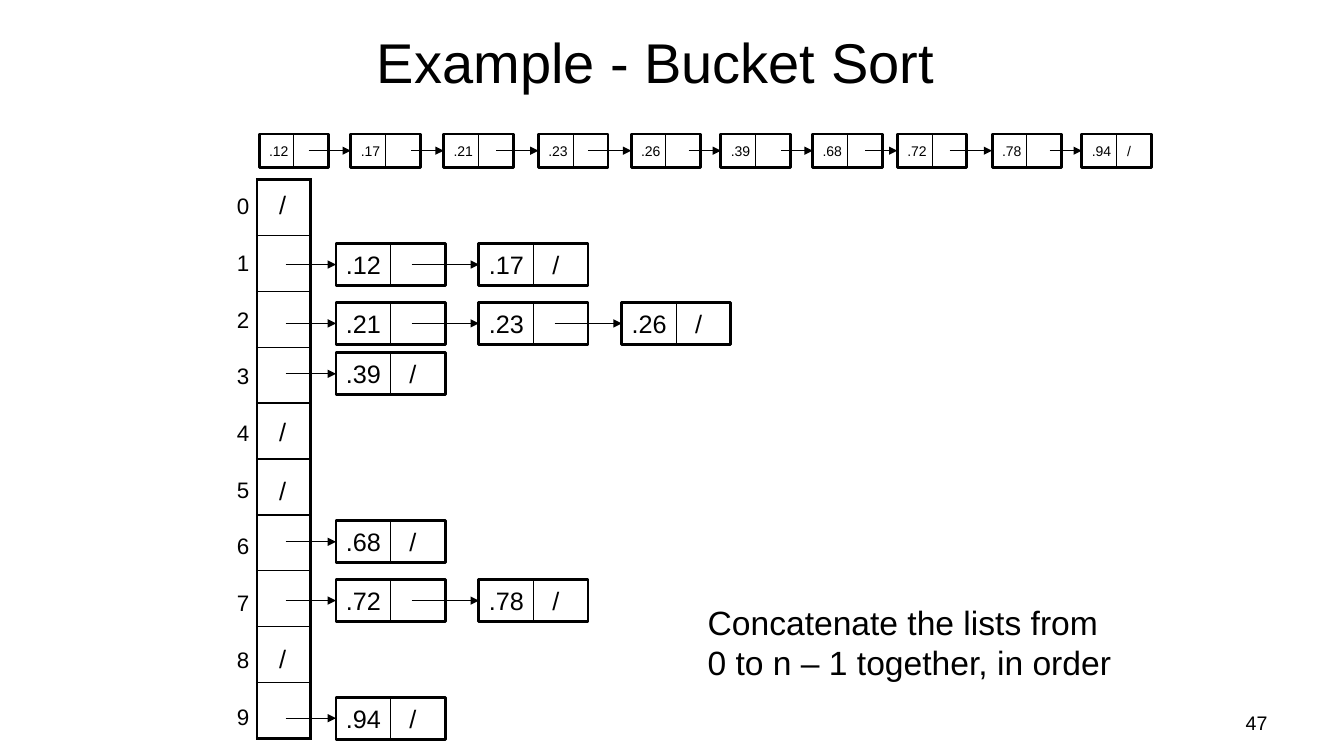
"""Builds the bucket sort slide: merged list, bucket column and bucket chains."""
from lxml import etree
from pptx import Presentation
from pptx import util as u
from pptx.dml.color import RGBColor
from pptx.enum import shapes, text
from pptx.oxml import ns

COLORS = {"ink": "000000", "paper": "FFFFFF"}
INK = RGBColor.from_string(COLORS["ink"])
FONT = "Arial"
UNIT = 1 / 12
LEFT, CENTER, RIGHT = text.PP_ALIGN.LEFT, text.PP_ALIGN.CENTER, text.PP_ALIGN.RIGHT

deck = Presentation()
deck.slide_width, deck.slide_height = u.Inches(13.33), u.Inches(7.5)
page = deck.slides.add_slide(deck.slide_layouts[6])
page.background.fill.solid()
page.background.fill.fore_color.rgb = RGBColor.from_string(COLORS["paper"])


def write(box, lines, size, align=LEFT, anchor=text.MSO_ANCHOR.TOP, wrap=False):
    frame = box.text_frame
    frame.word_wrap = wrap
    frame.vertical_anchor = anchor
    for number, line in enumerate(lines):
        para = frame.add_paragraph() if number else frame.paragraphs[0]
        para.alignment = align
        if "\t" in line:
            tabs = etree.SubElement(para._p.get_or_add_pPr(), ns.qn("a:tabLst"))
            stop = etree.SubElement(tabs, ns.qn("a:tab"))
            stop.set("pos", str(u.Inches(0.035 * size)))
            stop.set("algn", "l")
        span = para.add_run()
        span.text = line
        span.font.name, span.font.size = FONT, u.Pt(size)
        span.font.color.rgb = INK


def add_node(left, top, width, height, label, size, arrow_start):
    box = page.shapes.add_shape(
        shapes.MSO_SHAPE.RECTANGLE, *map(u.Inches, (left, top, width, height)))
    box.shadow.inherit = False
    box.fill.background()
    box.line.color.rgb, box.line.width = INK, u.Pt(2)
    write(box, [label], size, anchor=text.MSO_ANCHOR.MIDDLE, wrap=True)
    center, middle = left + width / 2, top + height / 2
    lines = [((center, top, center, top + height), 0, 2)]
    if arrow_start is not None:
        lines.append(((arrow_start, middle, left, middle), None, 1))
    for ends, begin_site, end_site in lines:
        line = page.shapes.add_connector(
            shapes.MSO_CONNECTOR.STRAIGHT, *map(u.Inches, ends))
        line.line.color.rgb, line.line.width = INK, u.Pt(0.75)
        if begin_site is None:
            tail = etree.SubElement(line.line._get_or_add_ln(), ns.qn("a:tailEnd"))
            tail.set("type", "triangle")
        else:
            line.begin_connect(box, begin_site)
        line.end_connect(box, end_site)
        etree.SubElement(line._element.spPr, ns.qn("a:effectLst"))


BUCKETS = 10
column = page.shapes.add_table(
    BUCKETS, 1, *map(u.Inches, (2.55, 1.78, 0.53, 5.55))).table
column.first_row = column.horz_banding = False
for index in range(BUCKETS):
    column.rows[index].height = u.Inches(5.55 / BUCKETS)
    cell = column.cell(index, 0)
    cell.fill.background()
    borders = {"L": 2.25, "R": 2.25,
               "T": 2.25 if index == 0 else 1,
               "B": 2.25 if index == BUCKETS - 1 else 1}
    for place, (side, width) in enumerate(borders.items()):
        edge = etree.Element(ns.qn(f"a:ln{side}"), w=str(u.Pt(width)))
        fill = etree.SubElement(edge, ns.qn("a:solidFill"))
        etree.SubElement(fill, ns.qn("a:srgbClr"), val=COLORS["ink"])
        cell._tc.get_or_add_tcPr().insert(place, edge)

labels = [
    ((0.5, 0.11, 12, 0.99), ["Example - Bucket Sort"], 40, CENTER, text.MSO_ANCHOR.MIDDLE, True),
    ((9.56, 7, 3.11, 0.35), ["47"], 14, RIGHT, text.MSO_ANCHOR.TOP, True),
    ((6.92, 5.92, 4.24, 0.91),
     ["Concatenate the lists from", "0 to n – 1 together, in order"], 24),
]
labels += [((2.25, 1.86 + 0.5625 * index, 0.32, 0.37), [str(index)], 16)
           for index in range(BUCKETS)]
labels += [((2.67, row * UNIT, 0.27, 0.4), ["/"], 18) for row in (22, 49, 56, 76)]
for place, *content in labels:
    write(page.shapes.add_textbox(*map(u.Inches, place)), *content)

chains = {29: [".12", ".17"], 36: [".21", ".23", ".26"], 42: [".39"],
          62: [".68"], 69: [".72", ".78"], 83: [".94"]}
for row, values in chains.items():
    for step, value in enumerate(values):
        start = 32 + 17 * step if step else 34
        ending = "\t/" if step == len(values) - 1 else ""
        add_node((40 + 17 * step) * UNIT, row * UNIT, 13 * UNIT, 5 * UNIT,
                 value + ending, 18, start * UNIT)

merged = [value for values in chains.values() for value in values]
lefts = [2.57, 3.48, 4.4, 5.34, 6.26, 7.15, 8.06, 8.9, 9.84, 10.73]
starts = [None, 3.06, 4.08, 4.92, 5.83, 6.83, 7.75, 8.58, 9.42, 10.41]
for value, left, start in zip(merged, lefts, starts):
    ending = "\t/" if value == merged[-1] else ""
    add_node(left, 1.33, 0.69, 0.33, value + ending, 10, start)

deck.save("out.pptx")
